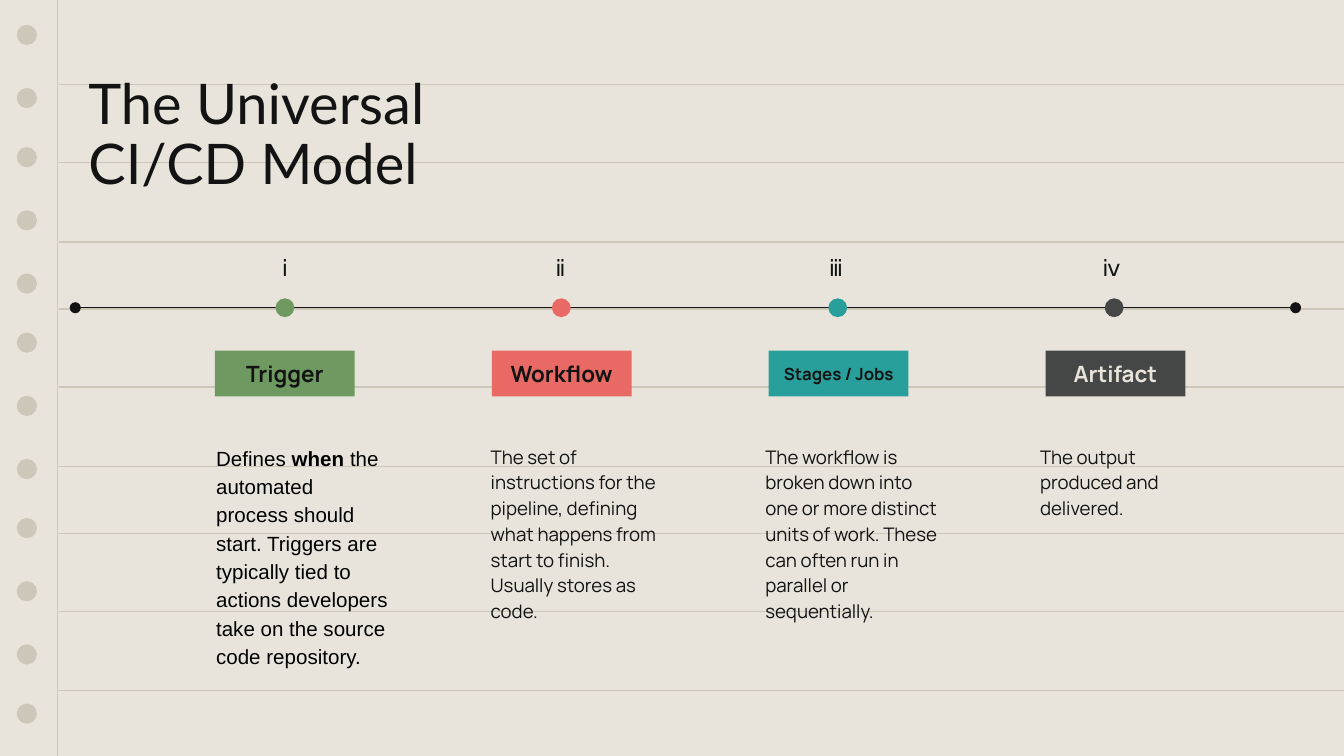
from dataclasses import dataclass

from lxml.etree import SubElement
from pptx import Presentation
from pptx.dml.color import RGBColor
from pptx.enum.shapes import MSO_CONNECTOR, MSO_SHAPE
from pptx.enum.text import MSO_ANCHOR, PP_ALIGN
from pptx.oxml.ns import qn
from pptx.util import Inches, Pt

PAGE_WIDTH = 10
PAGE_HEIGHT = PAGE_WIDTH * 9 / 16


@dataclass(frozen=True)
class Theme:
    paper: str = "E9E4DB"
    rule: str = "CDC7B9"
    ink: str = "131313"
    black: str = "000000"
    green: str = "6E9960"
    coral: str = "E96A64"
    teal: str = "299F9C"
    charcoal: str = "444746"
    title_font: str = "Lato"
    main_font: str = "Manrope"
    plain_font: str = "Arial"
    title_size: float = 30
    label_size: float = 12
    small_label_size: float = 9
    body_size: float = 10
    plain_size: float = 11
    line_width: float = 0.75


THEME = Theme()

STAGES = [
    dict(numeral="ⅰ", label="Trigger", color=THEME.green,
         body=["Defines ", ("when", True),
               " the automated process should start. Triggers are typically "
               "tied to actions developers take on the source code repository."],
         body_format=dict(font=THEME.plain_font, size=THEME.plain_size,
                          color=THEME.black)),
    dict(numeral="ⅱ", label="Workflow", color=THEME.coral,
         body=["The set of instructions for the pipeline, defining what "
               "happens from start to finish. Usually stores as code."]),
    dict(numeral="ⅲ", label="Stages / Jobs", color=THEME.teal,
         label_format=dict(size=THEME.small_label_size),
         body=["The workflow is broken down into one or more distinct units "
               "of work. These can often run in parallel or sequentially."]),
    dict(numeral="ⅳ", label="Artifact", color=THEME.charcoal,
         label_format=dict(color=THEME.paper),
         body=["The output produced and delivered."]),
]


def write(box, spans, font=THEME.main_font, size=THEME.label_size,
          color=THEME.ink, bold=False, align=PP_ALIGN.LEFT,
          anchor=MSO_ANCHOR.TOP, line_spacing=None, space_before=None):
    """Fill a box with one paragraph; a span is a text or a (text, bold) pair."""
    frame = box.text_frame
    frame.word_wrap = True
    frame.vertical_anchor = anchor
    frame.margin_left = frame.margin_right = Inches(0.1)
    frame.margin_top = frame.margin_bottom = Inches(0.1)
    para = frame.paragraphs[0]
    para.alignment = align
    if line_spacing:
        para.line_spacing = line_spacing
    if space_before:
        para.space_before = Pt(space_before)
    for item in spans:
        text, strong = (item, bold) if isinstance(item, str) else item
        span = para.add_run()
        span.text = text
        span.font.name = font
        span.font.size = Pt(size)
        span.font.bold = strong
        span.font.color.rgb = RGBColor.from_string(color)


def add_text(page, left, top, width, height, spans, **text_format):
    box = page.shapes.add_textbox(Inches(left), Inches(top),
                                  Inches(width), Inches(height))
    write(box, spans, **text_format)


def add_filled(page, kind, left, top, width, height, color, outlined=False):
    shape = page.shapes.add_shape(kind, Inches(left), Inches(top),
                                  Inches(width), Inches(height))
    shape.shadow.inherit = False
    shape.fill.solid()
    shape.fill.fore_color.rgb = RGBColor.from_string(color)
    if outlined:
        shape.line.color.rgb = RGBColor.from_string(color)
        shape.line.width = Pt(THEME.line_width)
    else:
        shape.line.fill.background()
    return shape


def add_line(page, start, end, color, oval_ends=False):
    line = page.shapes.add_connector(MSO_CONNECTOR.STRAIGHT,
                                     *map(Inches, start + end))
    line.line.color.rgb = RGBColor.from_string(color)
    line.line.width = Pt(THEME.line_width)
    properties = line._element.spPr
    if oval_ends:
        outline = properties.find(qn("a:ln"))
        for end_tag in ("a:headEnd", "a:tailEnd"):
            SubElement(outline, qn(end_tag), type="oval")
    SubElement(properties, qn("a:effectLst"))


def add_notebook(page):
    """Ruled lines, margin and punched holes, both spaced in groups of three."""
    for group in range(3):
        for offset in (0, 0.58, 1.17):
            y = 0.63 + 1.67 * group + offset
            add_line(page, (0.44, y), (PAGE_WIDTH, y), THEME.rule)
    add_line(page, (0.43, 0), (0.43, PAGE_HEIGHT), THEME.rule)
    for group in range(4):
        for offset in (0, 0.47, 0.91):
            add_filled(page, MSO_SHAPE.OVAL, 0.13, 0.19 + 1.38 * group + offset,
                       0.14, 0.14, THEME.rule, outlined=True)


def spread(first, last, index):
    """Place one of the stages evenly between the first and the last."""
    return first + (last - first) * index / (len(STAGES) - 1)


def add_stage(page, index, stage):
    label = add_filled(page, MSO_SHAPE.RECTANGLE, spread(1.6, 7.78, index),
                       2.61, 1.04, 0.34, stage["color"])
    write(label, [stage["label"]], bold=True, align=PP_ALIGN.CENTER,
          anchor=MSO_ANCHOR.MIDDLE, **stage.get("label_format", {}))
    add_filled(page, MSO_SHAPE.OVAL, spread(2.05, 8.22, index), 2.22,
               0.14, 0.14, stage["color"])
    add_text(page, spread(1.69, 7.84, index), 1.79, 0.86, 0.4,
             [stage["numeral"]], align=PP_ALIGN.CENTER)
    body_format = dict(size=THEME.body_size) | stage.get("body_format", {})
    add_text(page, spread(1.51, 7.64, index), 3.19, 1.5, 0.76, stage["body"],
             line_spacing=1.15, space_before=12, **body_format)


def main():
    deck = Presentation()
    deck.slide_width, deck.slide_height = Inches(PAGE_WIDTH), Inches(PAGE_HEIGHT)
    page = deck.slides.add_slide(deck.slide_layouts[6])
    page.background.fill.solid()
    page.background.fill.fore_color.rgb = RGBColor.from_string(THEME.paper)

    add_notebook(page)
    add_text(page, 0.56, 0.46, 3.12, 1.11, ["The Universal CI/CD Model"],
             font=THEME.title_font, size=THEME.title_size,
             anchor=MSO_ANCHOR.MIDDLE, line_spacing=0.9)
    add_line(page, (0.56, 2.29), (9.64, 2.29), THEME.ink, oval_ends=True)
    for index, stage in enumerate(STAGES):
        add_stage(page, index, stage)
    deck.save("out.pptx")


if __name__ == "__main__":
    main()
